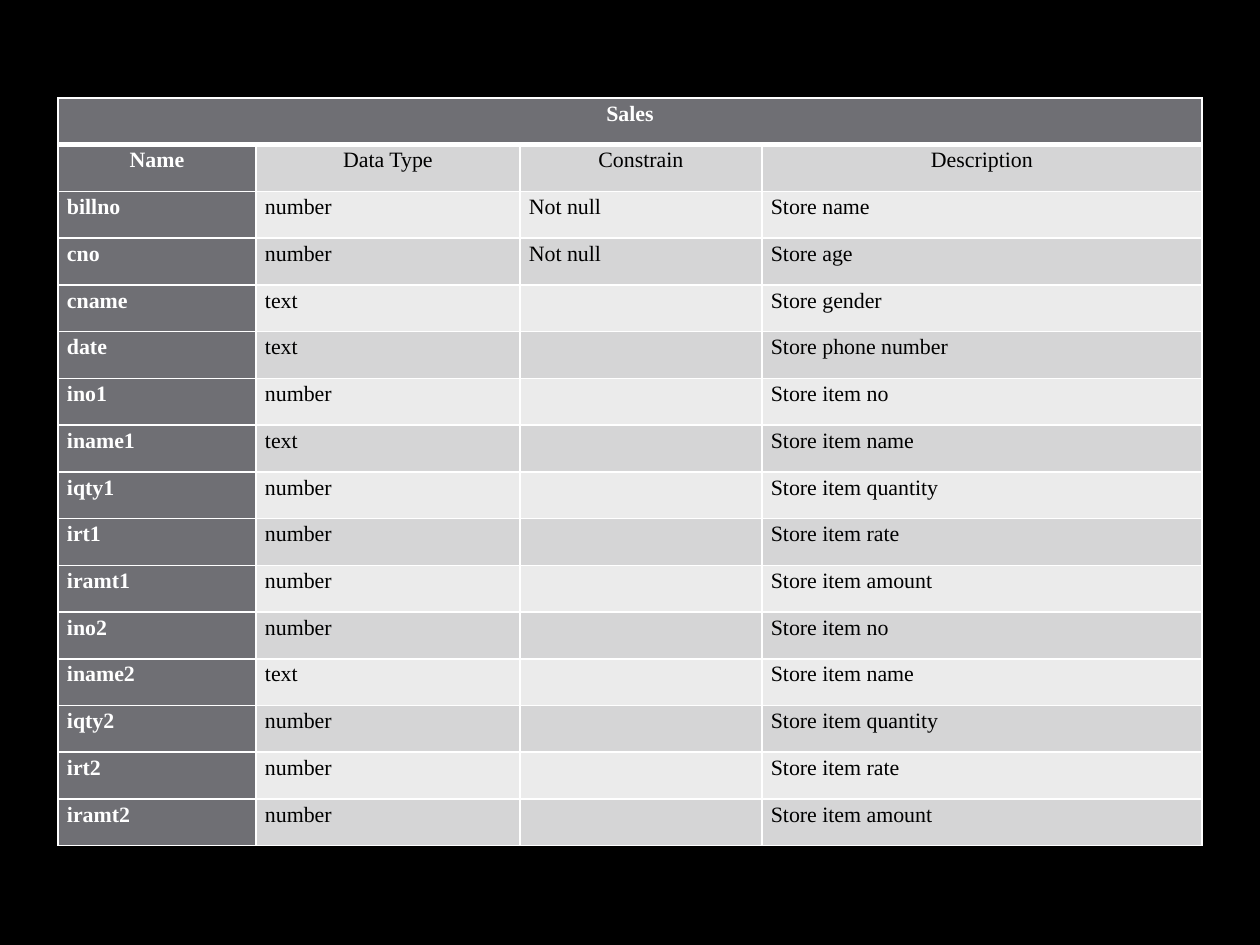
from dataclasses import dataclass

from lxml.etree import SubElement
from pptx import Presentation
from pptx.dml.color import RGBColor
from pptx.enum.text import PP_ALIGN
from pptx.oxml.ns import qn
from pptx.slide import Slide
from pptx.util import Emu, Pt

COLORS = {
    "background": "000000",
    "header": "6F6F74",
    "dark_band": "D5D5D6",
    "light_band": "EBEBEB",
    "border": "FFFFFF",
    "header_text": "FFFFFF",
    "body_text": "000000",
}
TITLE = "Sales"
HEADINGS = ("Name", "Data Type", "Constrain", "Description")
FIELDS = [
    ("billno", "number", "Not null", "Store name"),
    ("cno", "number", "Not null", "Store age"),
    ("cname", "text", "", "Store gender"),
    ("date", "text", "", "Store phone number"),
]
ITEM_FIELDS = [
    ("ino", "number", "Store item no"),
    ("iname", "text", "Store item name"),
    ("iqty", "number", "Store item quantity"),
    ("irt", "number", "Store item rate"),
    ("iramt", "number", "Store item amount"),
]
COLUMN_WIDTHS = (198, 264, 242, 440)


def px(value):
    return Emu(round(value * 914400 / 126))


@dataclass
class SlideBuilder:
    """Holds the table style and the slide being built."""

    slide: Slide
    font_name: str = "Times New Roman"
    font_size: float = 12.5
    line_spacing: float = 1.15
    border_width: float = 1
    title_border_width: float = 3

    def background(self):
        fill = self.slide.background.fill
        fill.solid()
        fill.fore_color.rgb = RGBColor.from_string(COLORS["background"])

    def borders(self, cell, row):
        properties = cell._tc.get_or_add_tcPr()
        for side in ("L", "R", "T", "B"):
            under_title = (row, side) in ((0, "B"), (1, "T"))
            width = self.title_border_width if under_title else self.border_width
            line = SubElement(properties, qn(f"a:ln{side}"), w=str(Pt(width)))
            fill = SubElement(line, qn("a:solidFill"))
            SubElement(fill, qn("a:srgbClr"), val=COLORS["border"])

    def cell(self, cell, text, row, column):
        is_header = row == 0 or column == 0
        band = "dark_band" if row % 2 else "light_band"
        self.borders(cell, row)
        cell.fill.solid()
        cell.fill.fore_color.rgb = RGBColor.from_string(COLORS["header" if is_header else band])
        cell.margin_left = cell.margin_right = px(9)
        cell.margin_top = cell.margin_bottom = 0
        cell.text = text
        paragraph = cell.text_frame.paragraphs[0]
        paragraph.alignment = PP_ALIGN.CENTER if row < 2 else PP_ALIGN.LEFT
        paragraph.line_spacing = self.line_spacing
        font = paragraph.font
        font.name = self.font_name
        font.size = Pt(self.font_size)
        font.bold = is_header
        font.color.rgb = RGBColor.from_string(COLORS["header_text" if is_header else "body_text"])

    def table(self, left, top, height, widths, rows):
        shape = self.slide.shapes.add_table(
            len(rows), len(widths), px(left), px(top), px(sum(widths)), px(height)
        )
        table = shape.table
        table.first_row = table.horz_banding = False
        for column, width in zip(table.columns, widths):
            column.width = px(width)
        for row_index, texts in enumerate(rows):
            table.rows[row_index].height = px(height / len(rows))
            for column_index, text in enumerate(texts):
                self.cell(table.cell(row_index, column_index), text, row_index, column_index)
        table.cell(0, 0).merge(table.cell(0, len(widths) - 1))


def main():
    presentation = Presentation()
    presentation.slide_width = px(1260)
    presentation.slide_height = px(945)
    builder = SlideBuilder(presentation.slides.add_slide(presentation.slide_layouts[6]))
    items = [
        (f"{name}{number}", data_type, "", description)
        for number in (1, 2)
        for name, data_type, description in ITEM_FIELDS
    ]
    builder.background()
    builder.table(58, 98, 748, COLUMN_WIDTHS, [(TITLE, "", "", ""), HEADINGS, *FIELDS, *items])
    presentation.save("out.pptx")


if __name__ == "__main__":
    main()
